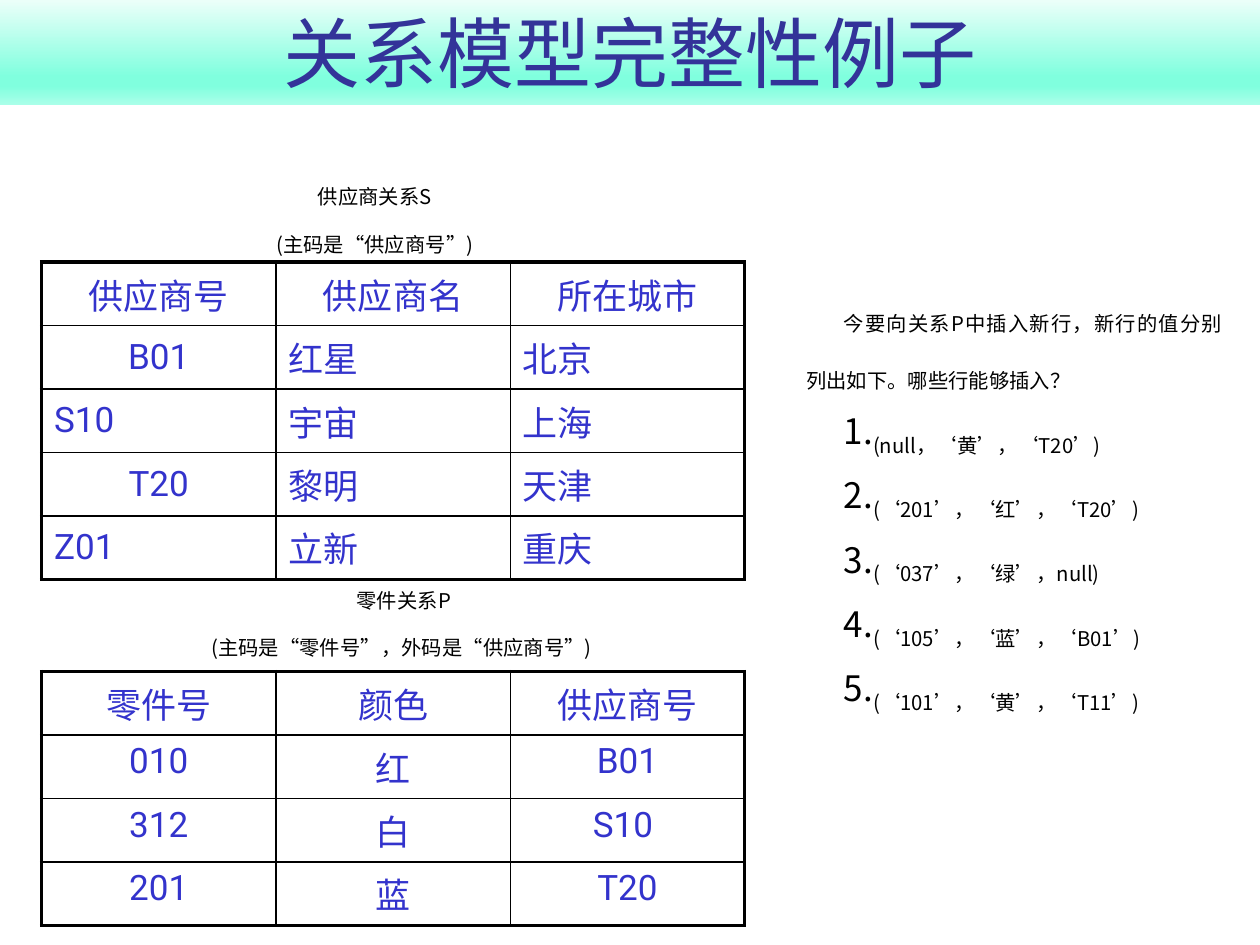
from copy import deepcopy
from itertools import groupby

from lxml.etree import SubElement
from pptx import Presentation
from pptx.dml.color import RGBColor
from pptx.enum.text import MSO_ANCHOR, MSO_AUTO_SIZE, PP_ALIGN
from pptx.oxml.ns import qn
from pptx.util import Pt

COLORS = {"title": "333399", "table": "3333CC", "text": "000000", "border": "000000"}
GRADIENT = [(0, "F1FFFB"), (0.74, "80FFDE"), (0.83, "80FFDE"), (1, "AAFFE9")]
LATIN, SERIF, CHINESE = "Roboto", "Times New Roman", "Noto Sans CJK JP"
ALIGN = {"c": PP_ALIGN.CENTER, "j": PP_ALIGN.JUSTIFY, "l": PP_ALIGN.LEFT}

TITLE = "关系模型完整性例子"
TABLES = [
    {"top": 149.76, "anchor": MSO_ANCHOR.MIDDLE, "rows": [
        ("ccc", "供应商号", "供应商名", "所在城市"),
        ("cjj", "B01", "红星", "北京"),
        ("jjj", "S10", "宇宙", "上海"),
        ("cjj", "T20", "黎明", "天津"),
        ("jjj", "Z01", "立新", "重庆"),
    ]},
    {"top": 383.76, "anchor": MSO_ANCHOR.TOP, "rows": [
        ("ccc", "零件号", "颜色", "供应商号"),
        ("ccc", "010", "红", "B01"),
        ("ccc", "312", "白", "S10 "),
        ("ccc", "201", "蓝", "T20"),
    ]},
]
QUESTION = "今要向关系P中插入新行，新行的值分别列出如下。哪些行能够插入？"
CANDIDATES = [
    "(null，‘黄’，‘T20’)",
    "(‘201’，‘红’，‘T20’)",
    "(‘037’，‘绿’，null)",
    "(‘105’，‘蓝’，‘B01’)",
    "(‘101’，‘黄’，‘T11’)",
]
QUESTION_BOX = (453.6, 155.52, 252, 260.64)
CAPTIONS = [
    ((28.8, 318.96, 403.92, 55.44), ["零件关系P", "(主码是“零件号”，外码是“供应商号”) "]),
    ((28.08, 88.56, 372.24, 55.44), ["供应商关系S", "(主码是“供应商号”)"]),
]
TABLE_LEFT, COLUMN_WIDTH, ROW_HEIGHT = 23.76, 133.92, 31.3


def style_font(font, name, size, color):
    font.name, font.size = name, Pt(size)
    font.color.rgb = RGBColor.from_string(COLORS[color])


def add_title(slide):
    title = slide.shapes.title
    title.left, title.top, title.width, title.height = Pt(0), Pt(-2.16), Pt(720), Pt(61.92)
    title.fill.gradient()
    title.fill.gradient_angle = 270
    stops = title.fill._fill._gradFill.gsLst
    template = deepcopy(stops[0])
    for stop in list(stops):
        stops.remove(stop)
    for _ in GRADIENT:
        stops.append(deepcopy(template))
    for stop, (position, color) in zip(title.fill.gradient_stops, GRADIENT):
        stop.position = position
        stop.color.rgb = RGBColor.from_string(color)
    title.text_frame.text = TITLE
    title.text_frame.vertical_anchor = MSO_ANCHOR.BOTTOM
    paragraph = title.text_frame.paragraphs[0]
    paragraph.alignment = PP_ALIGN.CENTER
    style_font(paragraph.font, LATIN, 44, "title")


def set_borders(cell, widths):
    properties = cell._tc.get_or_add_tcPr()
    for index, (side, width) in enumerate(widths.items()):
        line = properties.makeelement(qn(f"a:{side}"), {"w": str(Pt(width))})
        fill = SubElement(line, qn("a:solidFill"))
        SubElement(fill, qn("a:srgbClr"), val=COLORS["border"])
        properties.insert(index, line)


def add_relation(slide, top, anchor, rows):
    last_row, last_column = len(rows) - 1, len(rows[0]) - 2
    table = slide.shapes.add_table(
        last_row + 1, last_column + 1, Pt(TABLE_LEFT), Pt(top),
        Pt(COLUMN_WIDTH * (last_column + 1)), Pt(ROW_HEIGHT * len(rows))).table
    for column in table.columns:
        column.width = Pt(COLUMN_WIDTH)
    for row_index, (alignments, *values) in enumerate(rows):
        table.rows[row_index].height = Pt(ROW_HEIGHT)
        for column_index, value in enumerate(values):
            cell = table.cell(row_index, column_index)
            cell.fill.background()
            cell.text, cell.vertical_anchor = value, anchor
            paragraph = cell.text_frame.paragraphs[0]
            paragraph.alignment = ALIGN[alignments[column_index]]
            paragraph.space_before = Pt(4)
            style_font(paragraph.font, LATIN if value.isascii() else SERIF, 20, "table")
            outer = {"lnL": column_index == 0, "lnR": column_index == last_column,
                     "lnT": row_index == 0, "lnB": row_index == last_row}
            set_borders(cell, {side: 2.25 if edge else 1 for side, edge in outer.items()})


def add_text_box(slide, box, lines):
    shape = slide.shapes.add_textbox(*map(Pt, box))
    frame = shape.text_frame
    frame.word_wrap, frame.auto_size = True, MSO_AUTO_SIZE.SHAPE_TO_FIT_TEXT
    for index, line in enumerate(lines):
        paragraph = frame.paragraphs[0] if index == 0 else frame.add_paragraph()
        for quoted, characters in groupby(line, lambda character: character in "‘’“”"):
            run = paragraph.add_run()
            run.text = "".join(characters)
            style_font(run.font, SERIF if quoted else CHINESE, 20, "text")
            properties = run._r.get_or_add_rPr()
            properties.set("baseline", "-25000")
            SubElement(properties, qn("a:ea"), typeface=CHINESE)
    return frame.paragraphs


def add_question(slide):
    paragraphs = add_text_box(slide, QUESTION_BOX, [QUESTION, *CANDIDATES])
    for index, paragraph in enumerate(paragraphs):
        paragraph.alignment = ALIGN["l" if index else "j"]
        paragraph.line_spacing, paragraph.space_before = 1.2, Pt(4)
        properties = paragraph._p.get_or_add_pPr()
        properties.set("marL", "0")
        properties.set("indent", str(Pt(21.6)))
        if index:
            SubElement(properties, qn("a:buFont"), typeface=CHINESE)
            SubElement(properties, qn("a:buAutoNum"), type="arabicPeriod")


def main():
    """Build the slide on integrity in the relational model."""
    presentation = Presentation()
    presentation.slide_width, presentation.slide_height = Pt(720), Pt(540)
    slide = presentation.slides.add_slide(presentation.slide_layouts[5])
    add_title(slide)
    for relation in TABLES:
        add_relation(slide, **relation)
    add_question(slide)
    for box, lines in CAPTIONS:
        for paragraph in add_text_box(slide, box, lines):
            paragraph.alignment = PP_ALIGN.CENTER
    presentation.save("out.pptx")


if __name__ == "__main__":
    main()
